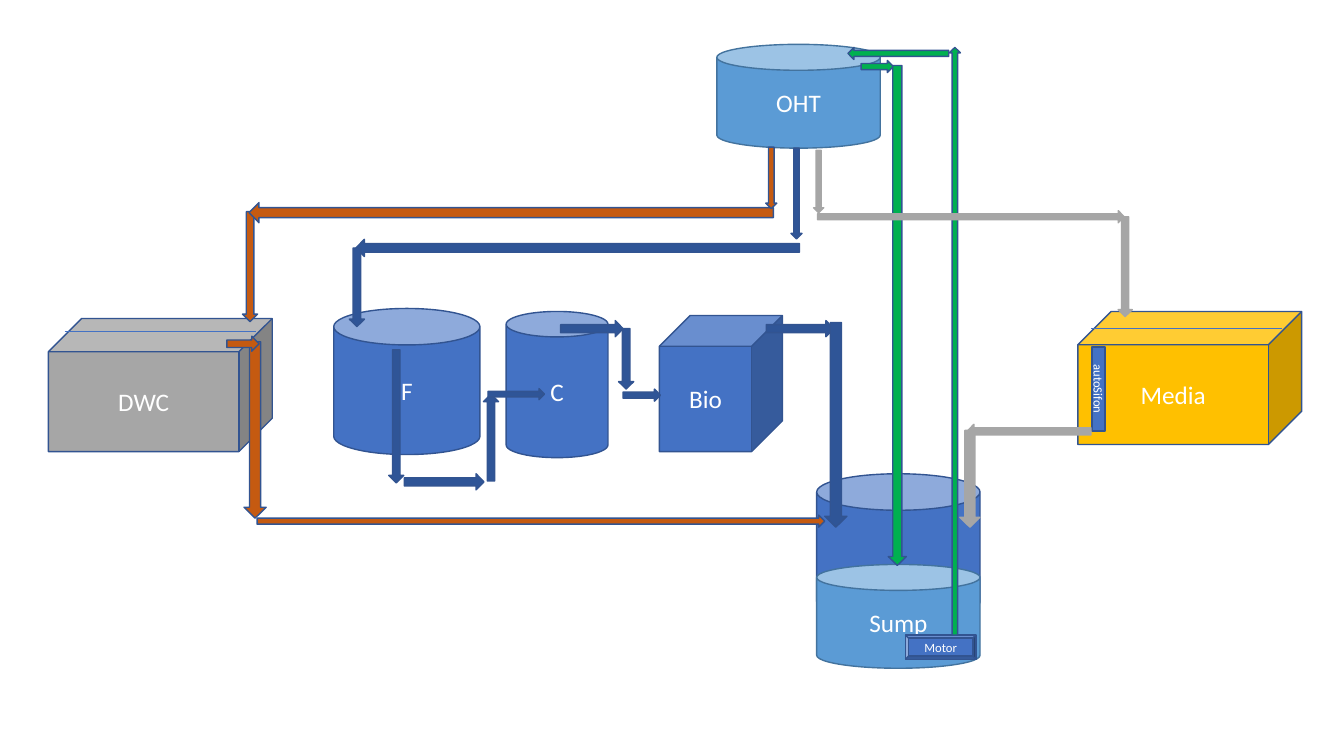
from dataclasses import dataclass

from lxml.etree import SubElement
from pptx import Presentation
from pptx.dml.color import RGBColor
from pptx.enum.shapes import MSO_CONNECTOR, MSO_SHAPE
from pptx.enum.text import MSO_ANCHOR, PP_ALIGN
from pptx.oxml.ns import qn
from pptx.shapes.autoshape import Shape
from pptx.slide import Slide
from pptx.util import Inches, Pt


@dataclass(frozen=True)
class Theme:
    font: str = "Calibri"
    label_size: int = 18
    small_size: int = 9
    outline_width: float = 1
    seam_width: float = 0.5
    white: str = "FFFFFF"
    blue: str = "4472C4"
    outline: str = "325491"
    water: str = "5B9BD5"
    water_outline: str = "43739E"
    orange: str = "C55A11"
    green: str = "00B050"
    navy: str = "2F5597"
    gray: str = "A6A6A6"
    yellow: str = "FFC000"


THEME = Theme()


@dataclass(frozen=True)
class Vessel:
    kind: MSO_SHAPE
    left: float
    top: float
    width: float
    height: float
    label: str = ""
    fill: str = THEME.blue
    outline: str = THEME.outline
    size: int = THEME.label_size
    rotation: int = 0


@dataclass(frozen=True)
class Pipe:
    """A straight arrow along its centre line, from tail to tip."""
    tail: tuple[float, float]
    tip: tuple[float, float]
    thickness: float
    color: str
    outline: str = THEME.outline


def down(x: float, start: float, end: float, thickness: float, color: str,
         outline: str = THEME.outline) -> Pipe:
    return Pipe((x, start), (x, end), thickness, color, outline)


def across(y: float, start: float, end: float, thickness: float, color: str,
           outline: str = THEME.outline) -> Pipe:
    return Pipe((start, y), (end, y), thickness, color, outline)


CAN, CUBE = MSO_SHAPE.CAN, MSO_SHAPE.CUBE
ORANGE, GREEN, NAVY, GRAY = THEME.orange, THEME.green, THEME.navy, THEME.gray

VESSELS = [
    Vessel(CAN, 7.11, 0.44, 1.62, 1.03, "OHT", THEME.water, THEME.water_outline),
    Vessel(CAN, 3.31, 3.06, 1.45, 1.45, "F"),
    Vessel(CAN, 5.02, 3.09, 1.01, 1.45, "C"),
    Vessel(CUBE, 6.54, 3.13, 1.22, 1.35, "Bio"),
    Vessel(CAN, 8.1, 4.7, 1.62, 1.45),
    Vessel(CAN, 8.1, 5.6, 1.62, 1.03, "Sump", THEME.water, THEME.water_outline),
    Vessel(MSO_SHAPE.BEVEL, 8.98, 6.3, 0.7, 0.24, "Motor", size=THEME.small_size),
    Vessel(CUBE, 0.48, 3.16, 2.22, 1.32, "DWC", GRAY),
    Vessel(CUBE, 10.69, 3.09, 2.22, 1.32, "Media", THEME.yellow),
    Vessel(MSO_SHAPE.MATH_MINUS, 10.33, 3.58, 1.13, 0.56, "autoSifon",
           size=THEME.small_size, rotation=90),
]

# Left end and height of the seam on the lids of DWC and Media
SEAMS = [(0.64, 3.29), (10.82, 3.26)]
SEAM_LENGTH = 1.9

PIPES = [
    # DWC to sump, and motor up to the overhead tank
    across(5.17, 2.55, 8.18, 0.12, ORANGE),
    down(9.47, 6.3, 0.47, 0.11, GREEN),
    across(0.66, 8.54, 8.86, 0.12, GREEN),
    # Filter chain F, C, Bio
    across(4.78, 4.01, 4.8, 0.16, NAVY),
    down(3.93, 3.47, 4.79, 0.15, NAVY),
    down(4.87, 4.77, 3.91, 0.15, NAVY),
    across(3.26, 5.56, 6.18, 0.16, NAVY),
    down(6.21, 3.26, 3.86, 0.15, NAVY),
    across(3.92, 6.18, 6.55, 0.12, NAVY),
    across(3.26, 7.6, 8.27, 0.16, NAVY),
    # Overflow and returns to the sump
    down(8.9, 0.65, 5.61, 0.18, GREEN),
    across(3.91, 4.84, 5.4, 0.11, NAVY),
    down(8.29, 3.2, 5.23, 0.22, NAVY),
    across(0.53, 9.41, 8.41, 0.12, GREEN),
    # Overhead tank to F
    across(2.46, 7.93, 3.53, 0.17, NAVY),
    down(3.54, 2.46, 3.24, 0.15, NAVY),
    # Media loop
    across(4.28, 10.82, 9.59, 0.14, GRAY, GRAY),
    down(9.62, 4.27, 5.23, 0.2, GRAY, GRAY),
    across(2.15, 8.11, 11.15, 0.12, GRAY, GRAY),
    down(11.16, 2.15, 3.14, 0.14, GRAY, GRAY),
    # DWC loop
    down(2.48, 2.1, 3.19, 0.15, ORANGE),
    across(2.11, 7.67, 2.47, 0.2, ORANGE),
    down(2.53, 3.39, 5.14, 0.22, ORANGE),
    across(3.41, 2.25, 2.57, 0.15, ORANGE),
    # Outlets below the overhead tank
    down(7.65, 1.46, 2.07, 0.11, ORANGE),
    down(7.9, 1.47, 2.37, 0.11, NAVY),
    down(8.12, 1.49, 2.11, 0.1, GRAY, GRAY),
]


def paint(shape: Shape, fill: str, outline: str) -> None:
    shape.shadow.inherit = False
    shape.fill.solid()
    shape.fill.fore_color.rgb = RGBColor.from_string(fill)
    shape.line.color.rgb = RGBColor.from_string(outline)
    shape.line.width = Pt(THEME.outline_width)


def draw_vessel(slide: Slide, vessel: Vessel) -> None:
    body = slide.shapes.add_shape(
        vessel.kind, Inches(vessel.left), Inches(vessel.top),
        Inches(vessel.width), Inches(vessel.height))
    body.rotation = vessel.rotation
    paint(body, vessel.fill, vessel.outline)
    if not vessel.label:
        return
    body.text_frame.vertical_anchor = MSO_ANCHOR.MIDDLE
    paragraph = body.text_frame.paragraphs[0]
    paragraph.alignment = PP_ALIGN.CENTER
    label = paragraph.add_run()
    label.text = vessel.label
    label.font.name = THEME.font
    label.font.size = Pt(vessel.size)
    label.font.color.rgb = RGBColor.from_string(THEME.white)


def draw_seam(slide: Slide, left: float, y: float) -> None:
    seam = slide.shapes.add_connector(
        MSO_CONNECTOR.STRAIGHT, Inches(left), Inches(y),
        Inches(left + SEAM_LENGTH), Inches(y))
    seam.line.color.rgb = RGBColor.from_string(THEME.blue)
    seam.line.width = Pt(THEME.seam_width)
    SubElement(seam._element.spPr, qn("a:effectLst"))


def draw_pipe(slide: Slide, pipe: Pipe) -> None:
    (x1, y1), (x2, y2) = pipe.tail, pipe.tip
    length = abs(x2 - x1) + abs(y2 - y1)
    arrow = slide.shapes.add_shape(
        MSO_SHAPE.DOWN_ARROW,
        Inches((x1 + x2 - pipe.thickness) / 2), Inches((y1 + y2 - length) / 2),
        Inches(pipe.thickness), Inches(length))
    if x1 == x2:
        arrow.rotation = 0 if y2 > y1 else 180
    else:
        arrow.rotation = 270 if x2 > x1 else 90
    arrow.adjustments[1] = 0.49
    paint(arrow, pipe.color, pipe.outline)


def main() -> None:
    deck = Presentation()
    deck.slide_width, deck.slide_height = Inches(13.33), Inches(7.5)
    slide = deck.slides.add_slide(deck.slide_layouts[6])
    for vessel in VESSELS:
        draw_vessel(slide, vessel)
    for left, y in SEAMS:
        draw_seam(slide, left, y)
    for pipe in PIPES:
        draw_pipe(slide, pipe)
    deck.save("out.pptx")


if __name__ == "__main__":
    main()
